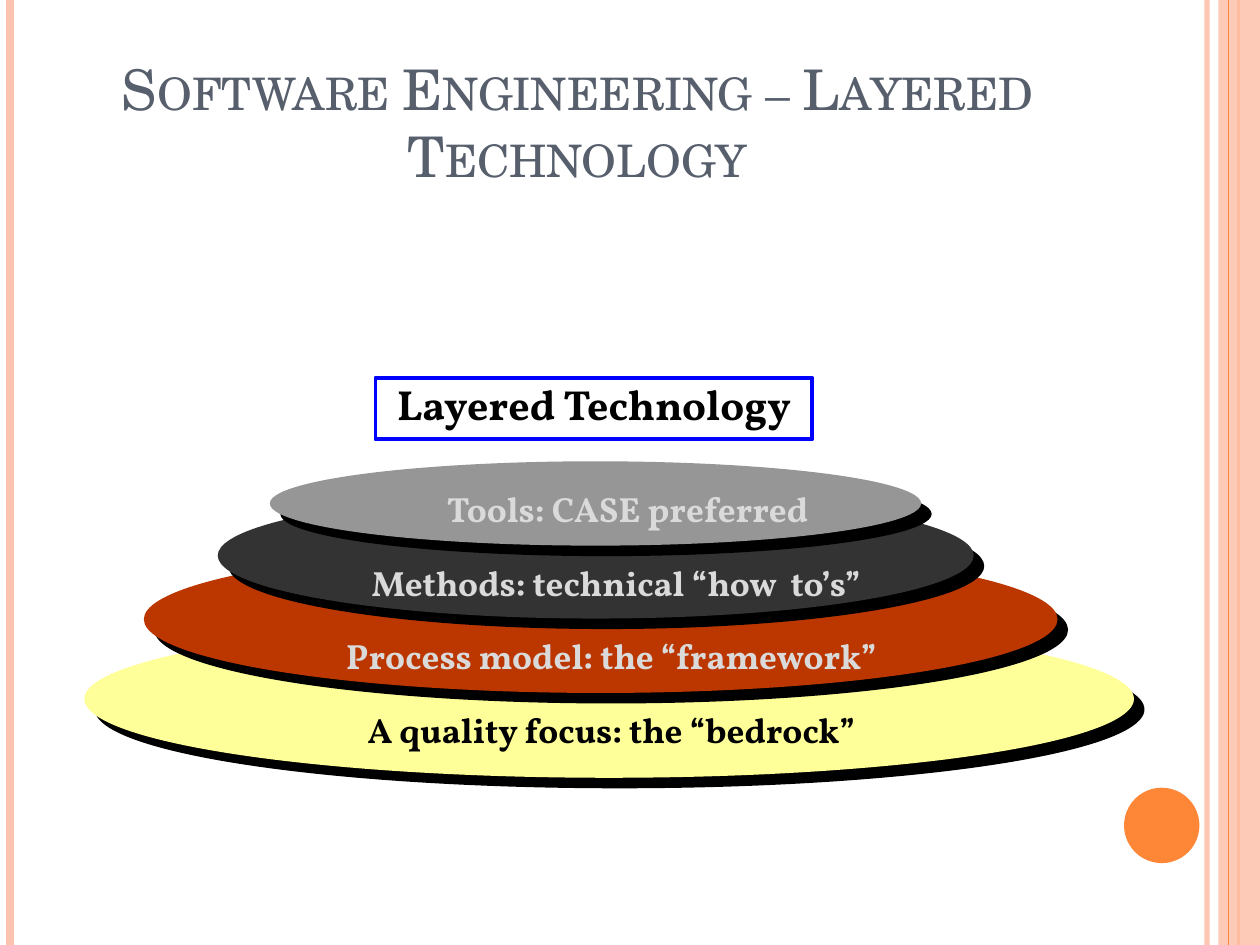
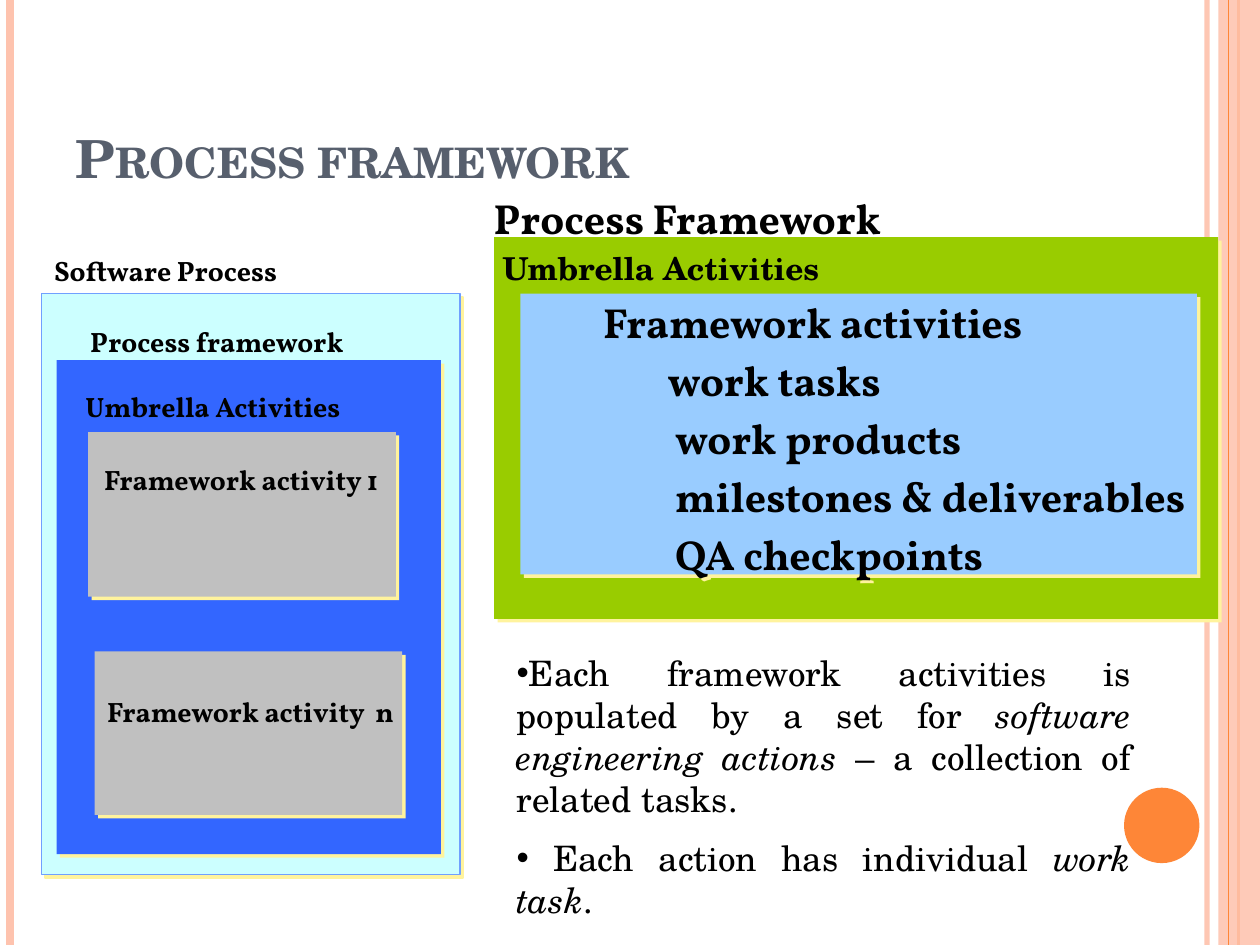
from lxml import etree
from pptx import Presentation
from pptx.dml.color import RGBColor
from pptx.enum.shapes import MSO_CONNECTOR, MSO_SHAPE
from pptx.enum.text import MSO_ANCHOR, MSO_AUTO_SIZE, PP_ALIGN
from pptx.oxml.ns import qn
from pptx.util import Cm, Pt

RECTANGLE, ELLIPSE = MSO_SHAPE.RECTANGLE, MSO_SHAPE.OVAL
STRAIGHT = MSO_CONNECTOR.STRAIGHT
TOP, MIDDLE, BOTTOM = MSO_ANCHOR.TOP, MSO_ANCHOR.MIDDLE, MSO_ANCHOR.BOTTOM
LEFT, CENTER, JUSTIFY = PP_ALIGN.LEFT, PP_ALIGN.CENTER, PP_ALIGN.JUSTIFY
NO_AUTOFIT = MSO_AUTO_SIZE.NONE

SERIF, DISPLAY = "TeX Gyre Schola", "Vollkorn"
BLACK, SLATE, PALE_GREY = "000000", "575F6D", "DADADA"
ORANGE, PEACH, CREAM = "FE8637", "FEC3AE", "FFF39D"
WIDTH, HEIGHT = 25.4, 19.05


def paint(color, hex_value, opacity=100):
    color.rgb = RGBColor.from_string(hex_value)
    if opacity < 100:
        set_opacity(color._color._xClr, opacity)


def set_opacity(color_element, opacity):
    etree.SubElement(color_element, qn("a:alpha"), val=str(opacity * 1000))


def write(paragraph, text, size=16, font=DISPLAY, colour=BLACK, bold=True,
          italic=False, small_caps=False, align=LEFT, spacing=1.0, before=0,
          indent=0):
    paragraph.alignment = align
    paragraph.line_spacing = spacing
    paragraph.space_before = Pt(before)
    properties = paragraph._p.get_or_add_pPr()
    properties.set("marL", str(Cm(indent)))
    properties.set("indent", "0")
    run = paragraph.add_run()
    run.text = text
    run.font.size, run.font.name = Pt(size), font
    run.font.bold, run.font.italic = bold, italic
    paint(run.font.color, colour)
    if small_caps:
        run.font._element.set("cap", "small")


class Deck:
    def __init__(self):
        self.presentation = Presentation()
        self.presentation.slide_width = Cm(WIDTH)
        self.presentation.slide_height = Cm(HEIGHT)
        self.slide = None

    def new_slide(self, layout_index):
        layout = self.presentation.slide_layouts[layout_index]
        self.slide = self.presentation.slides.add_slide(layout)

    def place(self, shape, box, anchor):
        shape.left, shape.top, shape.width, shape.height = map(Cm, box)
        return self.frame(shape, anchor)

    def frame(self, shape, anchor=TOP):
        frame = shape.text_frame
        frame.word_wrap = True
        frame.auto_size = NO_AUTOFIT
        frame.vertical_anchor = anchor
        return frame

    def title(self, text, **style):
        frame = self.place(self.slide.shapes.title, (1.27, 0.76, 20.75, 3.18), BOTTOM)
        write(frame.paragraphs[0], text, font=SERIF, colour=SLATE,
              small_caps=True, **style)

    def bullets(self, box, items):
        frame = self.place(self.slide.placeholders[1], box, TOP)
        for number, runs in enumerate(items):
            paragraph = frame.add_paragraph() if number else frame.paragraphs[0]
            for text, italic in runs:
                write(paragraph, text, size=20, font=SERIF, bold=False,
                      italic=italic, align=JUSTIFY, before=10)

    def shape(self, kind, box, fill=None, opacity=100, line=None, line_width=1,
              shadow=None, distance=2.8):
        shape = self.slide.shapes.add_shape(kind, *map(Cm, box))
        shape.shadow.inherit = False
        if fill:
            shape.fill.solid()
            paint(shape.fill.fore_color, fill, opacity)
        else:
            shape.fill.background()
        if line:
            paint(shape.line.color, line)
            shape.line.width = Pt(line_width)
        else:
            shape.line.fill.background()
        if shadow:
            effects = shape.element.spPr.find(qn("a:effectLst"))
            outer = etree.SubElement(effects, qn("a:outerShdw"), blurRad="0",
                                     dist=str(Pt(distance)), dir="2700000",
                                     algn="ctr", rotWithShape="0")
            etree.SubElement(outer, qn("a:srgbClr"), val=shadow)
        return shape

    def vertical_rule(self, x, colour, width, opacity=100):
        rule = self.slide.shapes.add_connector(STRAIGHT, Cm(x), 0, Cm(x), Cm(HEIGHT))
        paint(rule.line.color, colour, opacity)
        rule.line.width = Pt(width)
        etree.SubElement(rule.element.spPr, qn("a:effectLst"))
        return rule

    def lines(self, frame, entries, **shared):
        for number, (text, style) in enumerate(entries):
            paragraph = frame.add_paragraph() if number else frame.paragraphs[0]
            write(paragraph, text, **{**shared, **style})

    def label(self, box, *entries, **shared):
        label = self.slide.shapes.add_textbox(*map(Cm, box))
        self.lines(self.frame(label), entries, **shared)

    def decorate_master(self):
        ornaments = [
            self.vertical_rule(24.33, PEACH, 3, 93),
            self.vertical_rule(0.21, PEACH, 4.5),
            self.vertical_rule(24.97, ORANGE, 1.5),
            self.shape(RECTANGLE, (24.56, 0, 0.84, HEIGHT), PEACH, 87),
            self.vertical_rule(24.77, ORANGE, 0.75),
            self.shape(ELLIPSE, (22.66, 15.88, 1.52, 1.52), ORANGE),
        ]
        tree = self.presentation.slide_master.element.cSld.spTree
        for number, ornament in enumerate(ornaments, 100):
            ornament.element.xpath(".//p:cNvPr")[0].set("id", str(number))
            tree.append(ornament.element)


def layered_technology(deck):
    deck.title("Software Engineering – Layered Technology", size=32,
               bold=False, align=CENTER)
    heading = deck.shape(RECTANGLE, (7.57, 7.62, 8.81, 1.24), line="0000FF",
                         line_width=2.25)
    write(deck.frame(heading).paragraphs[0], "Layered Technology", size=24,
          align=CENTER, spacing=0.9)
    layers = [
        ("A quality focus: the “bedrock”", BLACK, "FFFF99",
         (1.7, 12.5, 21.16, 3.18), 7.16, 10.69),
        ("Process model: the “framework”", PALE_GREY, "BC3700",
         (2.9, 11, 18.42, 2.97), 6.73, 11.48),
        ("Methods: technical “how  to’s”", PALE_GREY, "333333",
         (4.39, 9.93, 15.24, 2.54), 7.24, 10.85),
        ("Tools: CASE preferred", PALE_GREY, "969696",
         (5.44, 9.3, 13.13, 1.7), 8.76, 8.08),
    ]
    for _, _, fill, box, _, _ in layers:
        deck.shape(ELLIPSE, box, fill, shadow=BLACK, distance=8.5)
    for level, (text, colour, _, _, left, width) in enumerate(layers):
        deck.label((left, 14.15 - 1.48 * level, width, 1.09), (text, {}),
                   size=20, colour=colour)


def process_framework(deck):
    deck.title("Process framework", size=30)
    deck.shape(RECTANGLE, (0.84, 5.92, 8.43, 11.71), "CCFFFF", line="70A0FF",
               shadow=CREAM)
    panels = [
        ((1.14, 7.26, 7.75, 9.96), "3366FF"),
        ((1.78, 8.71, 6.2, 3.32), "C0C0C0"),
        ((1.91, 13.13, 6.2, 3.3), "C0C0C0"),
        ((9.96, 4.78, 14.6, 7.7), "99CC00"),
    ]
    for box, fill in panels:
        deck.shape(RECTANGLE, box, fill, shadow=CREAM)
    captions = [
        ("Software Process", 0.84, 4.88),
        ("Process framework", 1.57, 6.32),
        ("Umbrella Activities", 1.47, 7.62),
        ("Framework activity 1", 1.85, 9.09),
        ("Framework activity  n", 1.91, 13.77),
    ]
    for text, left, top in captions:
        deck.label((left, top, 6.73, 1.02), (text, {}), spacing=1.15)

    activities = deck.shape(RECTANGLE, (10.49, 5.92, 13.64, 5.66), "99CCFF",
                            shadow=CREAM)
    frame = deck.frame(activities, MIDDLE)
    frame.margin_right = 0
    deck.lines(frame, [
        ("Framework activities", {"indent": 1.42}),
        ("work tasks", {"indent": 2.72}),
        ("work products", {"indent": 2.87}),
        ("milestones & deliverables", {"indent": 2.87}),
        ("QA checkpoints", {"indent": 2.87}),
    ], size=24, spacing=1.15)
    deck.label((9.7, 3.61, 14.86, 2.29),
               ("Process Framework", {"size": 24}),
               ("Umbrella Activities", {"size": 18, "font": SERIF, "indent": 0.18}),
               spacing=1.15)
    deck.bullets((10.16, 13, 12.9, 5.82), [
        [("Each framework activities is populated by a set for ", False),
         ("software engineering actions", True),
         (" – a collection of related tasks.", False)],
        [(" Each action has individual ", False), ("work task", True), (".", False)],
    ])


def main():
    deck = Deck()
    deck.new_slide(5)
    deck.decorate_master()
    layered_technology(deck)
    deck.new_slide(1)
    process_framework(deck)
    deck.presentation.save("out.pptx")


if __name__ == "__main__":
    main()
